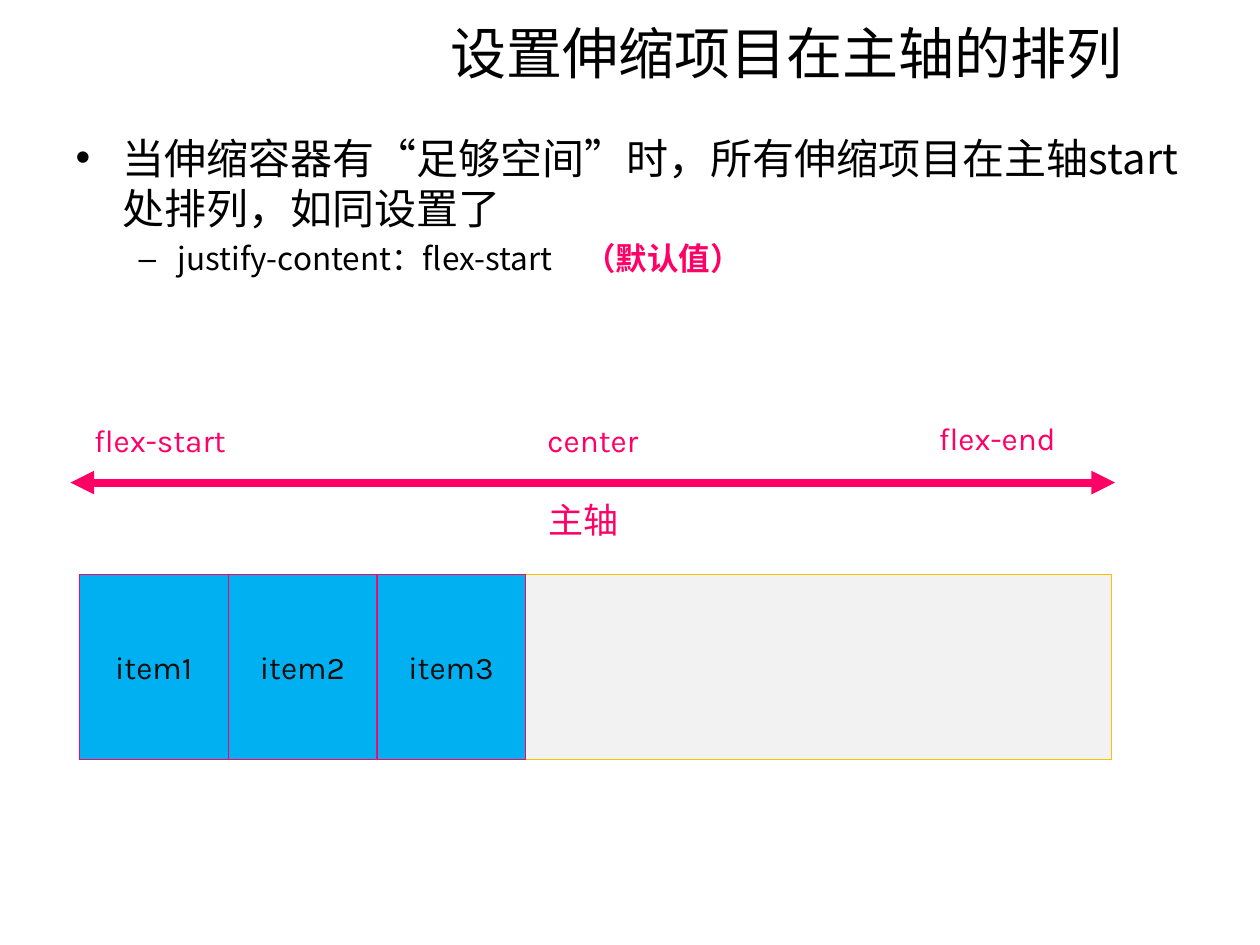
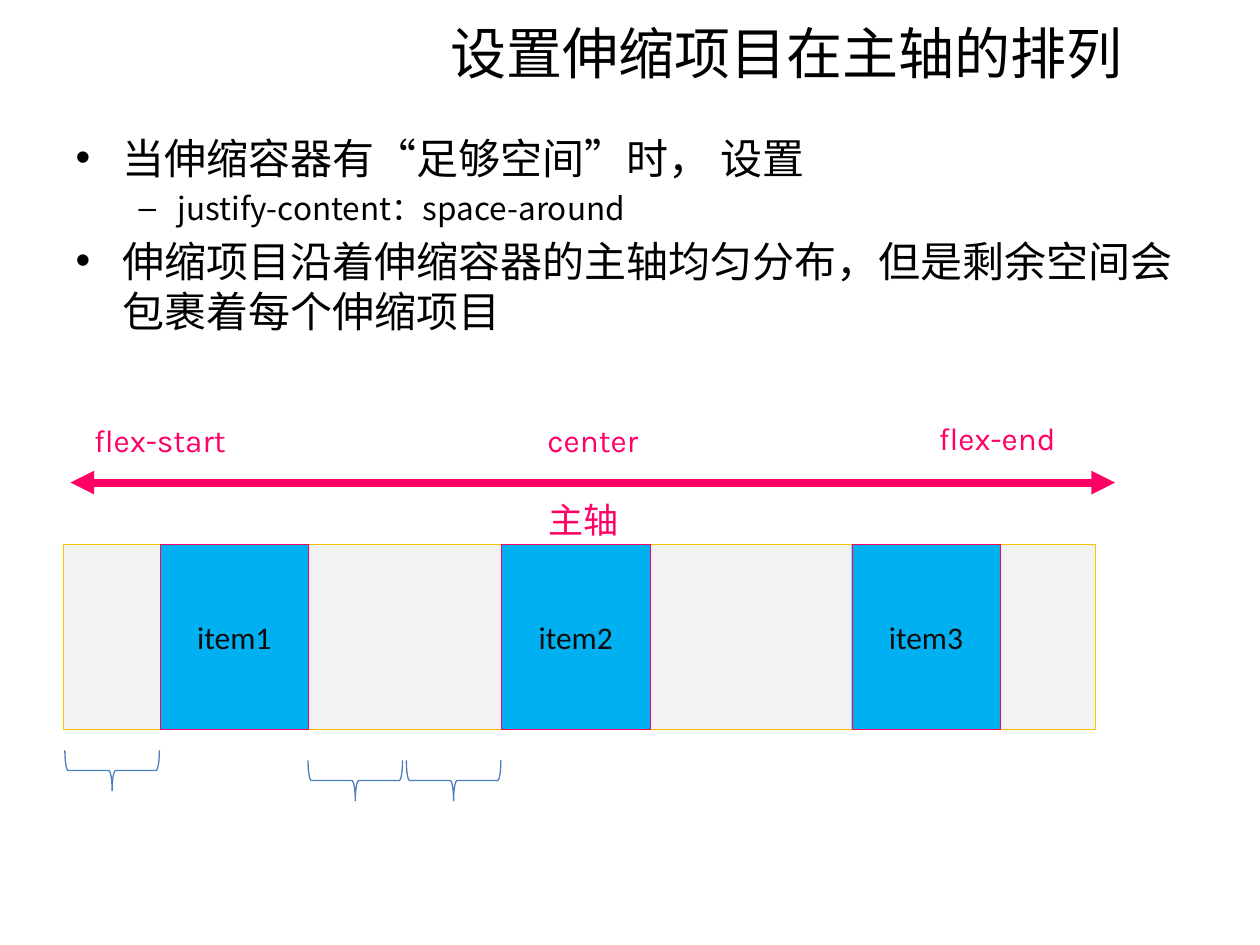
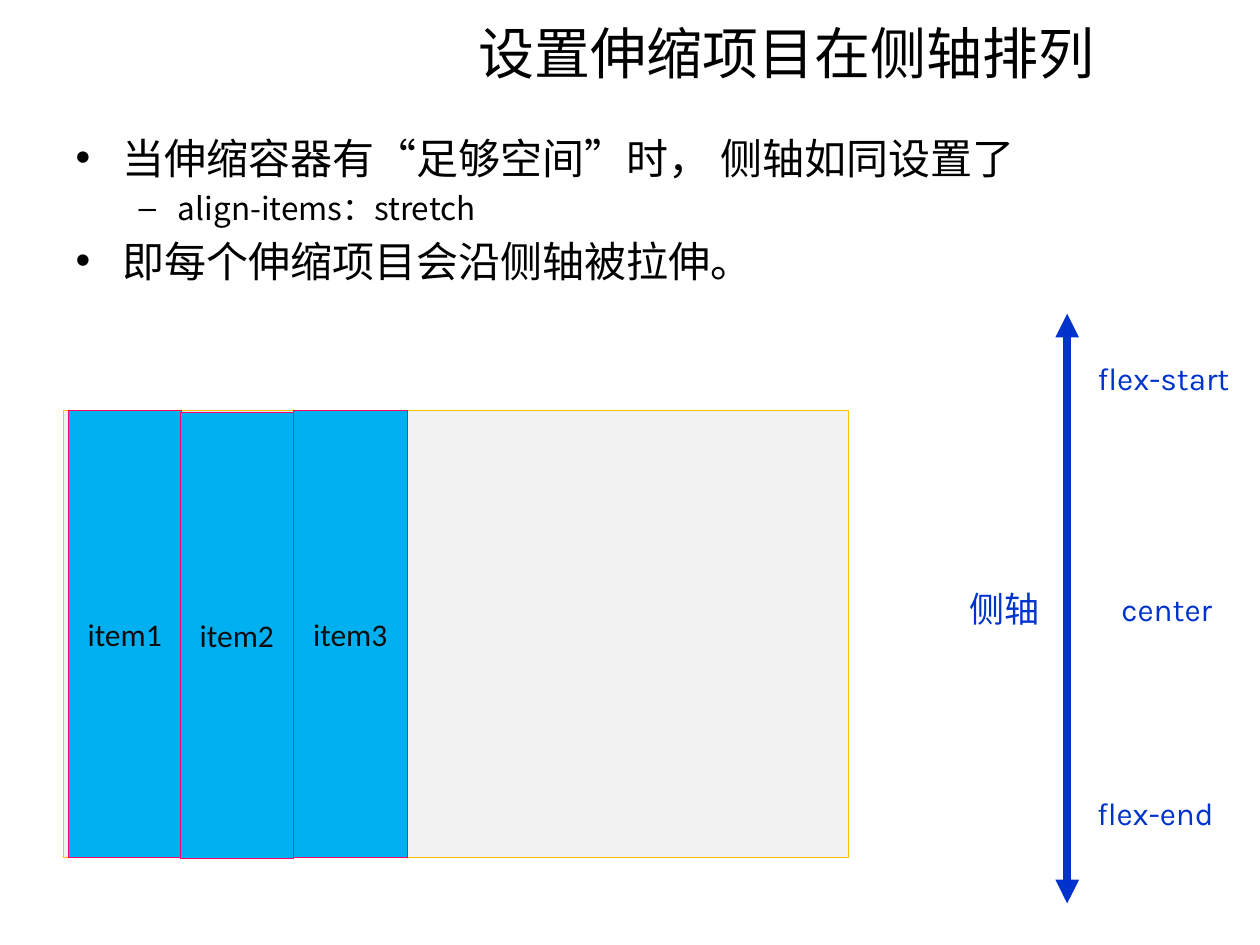
from lxml import etree
from pptx import Presentation
from pptx.dml.color import RGBColor
from pptx.enum.shapes import MSO_CONNECTOR, MSO_SHAPE
from pptx.enum.text import MSO_ANCHOR, MSO_AUTO_SIZE, PP_ALIGN
from pptx.oxml.ns import qn
from pptx.util import Inches, Pt

COLORS = {
    "text": "000000",
    "item_text": "0D0D0D",
    "main_axis": "FF0066",
    "cross_axis": "0033CC",
    "container": "F2F2F2",
    "container_line": "FFC000",
    "item": "00B0F0",
    "brace": "4B7EBC",
}
CJK, AXIS_CJK, LABEL, PLAIN = "Noto Sans CJK SC", "Noto Sans CJK JP", "Karla", "Calibri"
MAIN_TITLE = "设置伸缩项目在主轴的排列"


def rgb(name):
    return RGBColor.from_string(COLORS[name])


def write_text(para, text, size=18, font=CJK, color="text", bold=None):
    """Add a run whose Latin and East Asian fonts are the same."""
    span = para.add_run()
    span.text = text
    span.font.size = Pt(size)
    span.font.name = font
    span.font.bold = bold
    span.font.color.rgb = rgb(color)
    east_asian = etree.SubElement(span._r.get_or_add_rPr(), qn("a:ea"))
    east_asian.set("typeface", font)


class FlexDeck:
    """Holds the shared style and the slide being built."""

    def __init__(self):
        self.deck = Presentation()
        self.deck.slide_width = Inches(10)
        self.deck.slide_height = Inches(7.5)
        self.page = None

    def place(self, shape, left, top, width, height):
        shape.left, shape.top = Inches(left), Inches(top)
        shape.width, shape.height = Inches(width), Inches(height)

    def start_page(self, title, points, body_height=1.49):
        """Add a slide; points are (level, text, highlighted text)."""
        self.page = self.deck.slides.add_slide(self.deck.slide_layouts[1])
        heading, body = self.page.placeholders
        self.place(heading, 2.59, 0.03, 7.31, 0.76)
        self.place(body, 0.5, 1, 9, body_height)
        for holder in (heading, body):
            holder.text_frame.auto_size = MSO_AUTO_SIZE.NONE
        write_text(heading.text_frame.paragraphs[0], title, size=32)
        frame = body.text_frame
        for number, (level, text, highlight) in enumerate(points):
            para = frame.add_paragraph() if number else frame.paragraphs[0]
            para.level = level
            if number == 0:
                para.space_before = Pt(0)
            write_text(para, text, size=18 if level else 24)
            if highlight:
                write_text(para, highlight, color="main_axis", bold=True)

    def block(self, left, top, width, height, fill, line):
        box = self.page.shapes.add_shape(
            MSO_SHAPE.ROUNDED_RECTANGLE,
            Inches(left), Inches(top), Inches(width), Inches(height))
        box.adjustments[0] = 0
        box.shadow.inherit = False
        box.fill.solid()
        box.fill.fore_color.rgb = rgb(fill)
        box.line.color.rgb = rgb(line)
        box.line.width = Pt(0.25)
        return box

    def container(self, left, top, width, height):
        self.block(left, top, width, height, "container", "container_line")

    def items(self, places, width, height, font=PLAIN):
        """Draw numbered items at the given (left, top) places."""
        for number, (left, top) in enumerate(places, 1):
            box = self.block(left, top, width, height, "item", "main_axis")
            box.text_frame.vertical_anchor = MSO_ANCHOR.MIDDLE
            para = box.text_frame.paragraphs[0]
            para.alignment = PP_ALIGN.CENTER
            write_text(para, f"item{number}", font=font, color="item_text")

    def label(self, text, left, top, width, color, size=18, font=LABEL):
        height = 0.44 if size == 20 else 0.4
        box = self.page.shapes.add_textbox(
            Inches(left), Inches(top), Inches(width), Inches(height))
        box.text_frame.word_wrap = True
        box.text_frame.auto_size = MSO_AUTO_SIZE.SHAPE_TO_FIT_TEXT
        para = box.text_frame.paragraphs[0]
        para.alignment = PP_ALIGN.CENTER
        write_text(para, text, size=size, font=font, color=color)

    def arrow(self, start, end, color):
        """Draw a thick line with a triangle at both ends."""
        line = self.page.shapes.add_connector(
            MSO_CONNECTOR.STRAIGHT, *map(Inches, start + end))
        line.line.color.rgb = rgb(color)
        line.line.width = Pt(4.5)
        outline = line.line._get_or_add_ln()
        for tag in ("a:headEnd", "a:tailEnd"):
            etree.SubElement(outline, qn(tag)).set("type", "triangle")
        etree.SubElement(line._element.spPr, qn("a:effectLst"))

    def brace(self, left, top):
        brace = self.page.shapes.add_shape(
            MSO_SHAPE.LEFT_BRACE,
            Inches(left), Inches(top), Inches(0.32), Inches(0.75))
        brace.rotation = 270
        brace.shadow.inherit = False
        brace.fill.background()
        brace.line.color.rgb = rgb("brace")
        brace.line.width = Pt(0.75)

    def main_axis(self):
        color = "main_axis"
        self.label("flex-start", 0.49, 3.29, 1.56, color)
        self.label("flex-end", 7.13, 3.28, 1.57, color)
        self.label("center", 3.92, 3.29, 1.57, color)
        self.arrow((0.56, 3.83), (8.85, 3.83), color)
        self.label("主轴", 3.88, 3.91, 1.5, color, size=20, font=AXIS_CJK)

    def cross_axis(self):
        color = "cross_axis"
        self.label("flex-start", 8.47, 2.8, 1.53, color)
        self.label("flex-end", 8.41, 6.25, 1.52, color)
        self.label("center", 8.69, 4.63, 1.14, color)
        self.arrow((8.47, 2.49), (8.47, 7.17), color)
        self.label("侧轴", 7.55, 4.61, 0.84, color, size=20, font=AXIS_CJK)


def main():
    flex = FlexDeck()

    # Main axis: flex-start
    flex.start_page(MAIN_TITLE, [
        (0, "当伸缩容器有“足够空间”时，所有伸缩项目在主轴start处排列，如同设置了", ""),
        (1, "justify-content：flex-start　", "（默认值）"),
    ])
    flex.container(0.63, 4.56, 8.19, 1.47)
    flex.items([(0.63 + 1.18 * column, 4.56) for column in range(3)],
               1.18, 1.47, font=LABEL)
    flex.main_axis()

    # Main axis: space-around
    flex.start_page(MAIN_TITLE, [
        (0, "当伸缩容器有“足够空间”时， 设置", ""),
        (1, "justify-content：space-around", ""),
        (0, "伸缩项目沿着伸缩容器的主轴均匀分布，但是剩余空间会包裹着每个伸缩项目", ""),
    ], body_height=2.15)
    flex.container(0.5, 4.32, 8.19, 1.47)
    flex.items([(left, 4.32) for left in (1.27, 3.98, 6.76)], 1.18, 1.47)
    for left, top in ((0.73, 5.74), (2.66, 5.82), (3.44, 5.82)):
        flex.brace(left, top)
    flex.main_axis()

    # Cross axis: stretch
    flex.start_page("设置伸缩项目在侧轴排列", [
        (0, "当伸缩容器有“足够空间”时， 侧轴如同设置了", ""),
        (1, "align-items：stretch", ""),
        (0, "即每个伸缩项目会沿侧轴被拉伸。", ""),
    ])
    flex.container(0.5, 3.26, 6.23, 3.54)
    flex.items([(0.54, 3.26), (1.43, 3.27), (2.33, 3.26)], 0.9, 3.54)
    flex.cross_axis()

    flex.deck.save("out.pptx")


if __name__ == "__main__":
    main()
